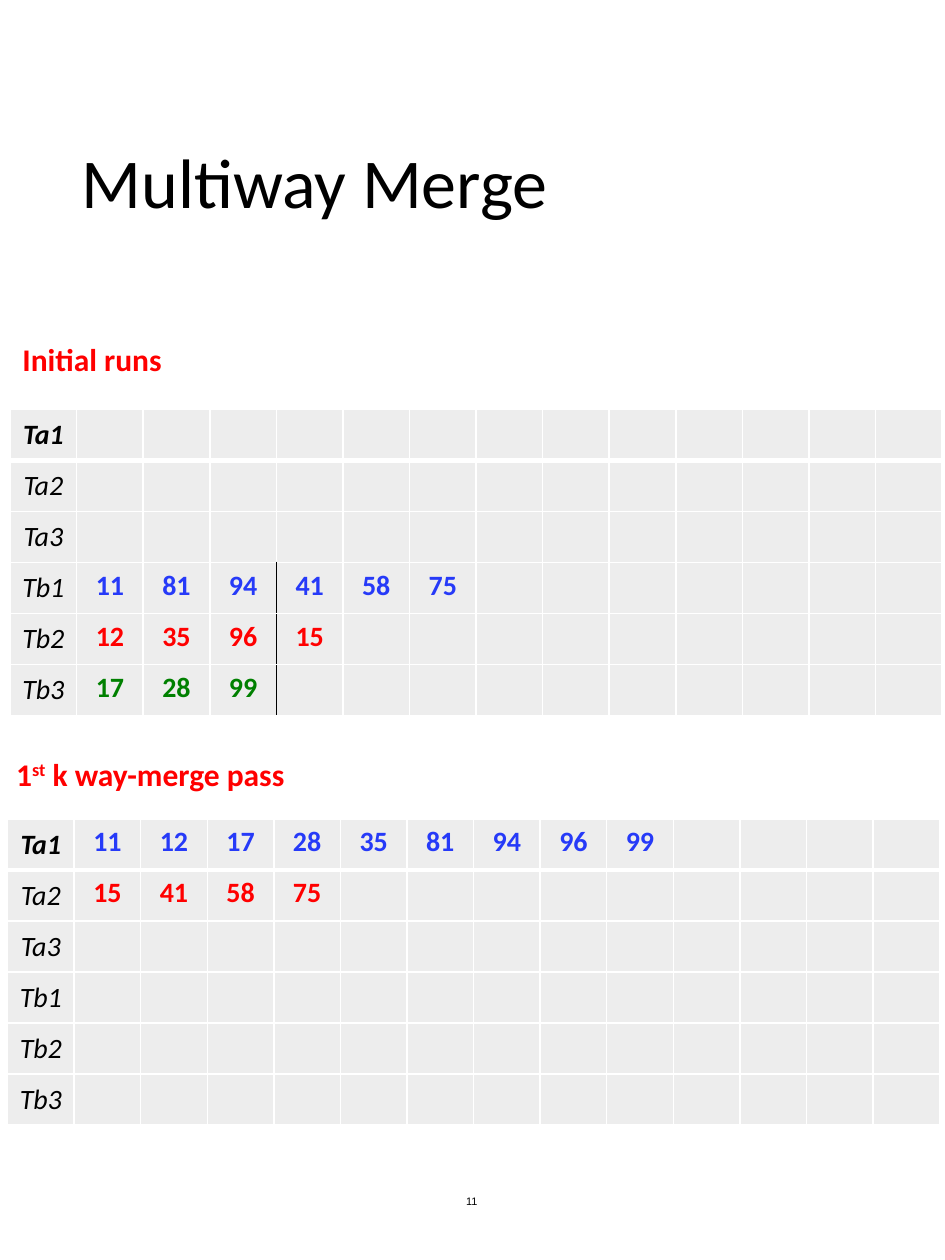
from lxml import etree
from pptx import Presentation
from pptx import util as u
from pptx.dml.color import RGBColor
from pptx.enum import text
from pptx.oxml.ns import qn

COLORS = {"black": "000000", "white": "FFFFFF", "red": "FF0000",
          "blue": "263AF8", "green": "008000", "cell": "EDEDED"}
TAPES = ["Ta1", "Ta2", "Ta3", "Tb1", "Tb2", "Tb3"]
COLUMNS = 14
RUN_LENGTH = 3
INITIAL_RUNS = {"Tb1": ("blue", [11, 81, 94, 41, 58, 75]),
                "Tb2": ("red", [12, 35, 96, 15]),
                "Tb3": ("green", [17, 28, 99])}
FIRST_PASS = {"Ta1": ("blue", [11, 12, 17, 28, 35, 81, 94, 96, 99]),
              "Ta2": ("red", [15, 41, 58, 75])}


class MergeSlide:
    """Holds the text style and the page, and draws each kind of element."""

    def __init__(self, page, font="Calibri"):
        self.page = page
        self.font = font

    def style(self, paragraph, size, color="black", bold=False, italic=False, font=None):
        for span in paragraph.runs:
            span.font.name = font or self.font
            span.font.size = u.Pt(size)
            span.font.bold = bold
            span.font.italic = italic
            span.font.color.rgb = RGBColor.from_string(COLORS[color])

    def title(self, words, left, top, width, height):
        box = self.page.shapes.title
        box.left, box.top, box.width, box.height = map(u.Inches, (left, top, width, height))
        frame = box.text_frame
        frame.text = words
        frame.vertical_anchor = text.MSO_ANCHOR.MIDDLE
        para = frame.paragraphs[0]
        para.alignment = text.PP_ALIGN.LEFT
        para.line_spacing = 0.9
        self.style(para, 40)

    def textbox(self, parts, left, top, width, height):
        box = self.page.shapes.add_textbox(*map(u.Inches, (left, top, width, height)))
        frame = box.text_frame
        frame.word_wrap = True
        para = frame.paragraphs[0]
        for words, baseline in parts:
            span = para.add_run()
            span.text = words
            if baseline:
                span.font._element.set("baseline", str(baseline * 1000))
        return frame

    def heading(self, parts, left, top, width):
        frame = self.textbox(parts, left, top, width, 0.4)
        self.style(frame.paragraphs[0], 18, "red", bold=True)

    def page_number(self, number, left, top, width, height):
        frame = self.textbox([(number, 0)], left, top, width, height)
        frame.vertical_anchor = text.MSO_ANCHOR.MIDDLE
        para = frame.paragraphs[0]
        para.alignment = text.PP_ALIGN.CENTER
        self.style(para, 6.2, font="Arial")

    def border(self, cell, side, color="white", points=1):
        line = etree.SubElement(cell._tc.get_or_add_tcPr(), qn(f"a:ln{side}"),
                                w=str(u.Pt(points)))
        fill = etree.SubElement(line, qn("a:solidFill"))
        etree.SubElement(fill, qn("a:srgbClr"), val=COLORS[color])

    def cell(self, cell, row, column, divided):
        self.border(cell, "L", "black" if divided and column == RUN_LENGTH + 1 else "white")
        self.border(cell, "R", "black" if divided and column == RUN_LENGTH else "white")
        self.border(cell, "T", points=3 if row == 1 else 1)
        self.border(cell, "B", points=3 if row == 0 else 1)
        cell.fill.solid()
        cell.fill.fore_color.rgb = RGBColor.from_string(COLORS["cell"])

    def tape_table(self, contents, left, top, divided=()):
        frame = self.page.shapes.add_table(len(TAPES), COLUMNS, u.Inches(left), u.Inches(top),
                                           u.Inches(7.4), u.Inches(2.43))
        for row, tape in enumerate(TAPES):
            color, values = contents.get(tape, ("black", []))
            for column in range(COLUMNS):
                cell = frame.table.cell(row, column)
                self.cell(cell, row, column, tape in divided)
                para = cell.text_frame.paragraphs[0]
                para.alignment = text.PP_ALIGN.CENTER
                if column == 0:
                    cell.vertical_anchor = text.MSO_ANCHOR.MIDDLE
                    cell.margin_left = cell.margin_right = 0
                    cell.margin_top = cell.margin_bottom = 0
                    para.text = tape
                    self.style(para, 16, bold=row == 0, italic=True)
                elif column <= len(values):
                    para.text = str(values[column - 1])
                    self.style(para, 16, color, bold=True)


def main():
    deck = Presentation()
    deck.slide_width, deck.slide_height = u.Inches(7.5), u.Inches(10)
    slide = MergeSlide(deck.slides.add_slide(deck.slide_layouts[5]))
    slide.title("Multiway Merge", 0.55, 0.51, 6.47, 1.93)
    slide.page_number("11", 2.48, 9.27, 2.53, 0.53)
    slide.tape_table(INITIAL_RUNS, 0.08, 3.25, divided=INITIAL_RUNS)
    slide.heading([("Initial runs", 0)], 0.08, 2.65, 1.63)
    slide.tape_table(FIRST_PASS, 0.06, 6.5)
    slide.heading([("1", 0), ("st", 30), (" k way-merge pass", 0)], 0.03, 5.94, 2.78)
    deck.save("out.pptx")


if __name__ == "__main__":
    main()
